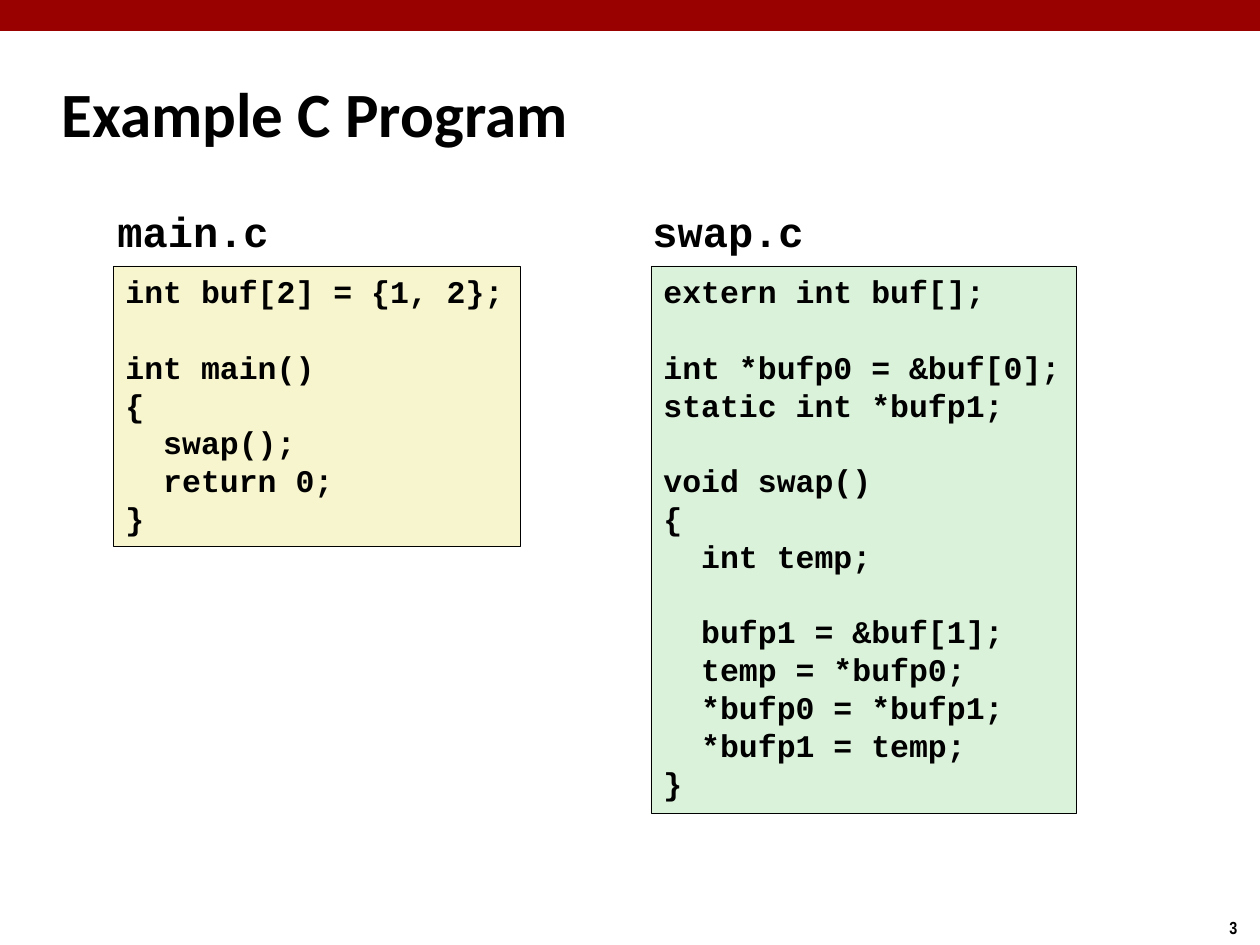
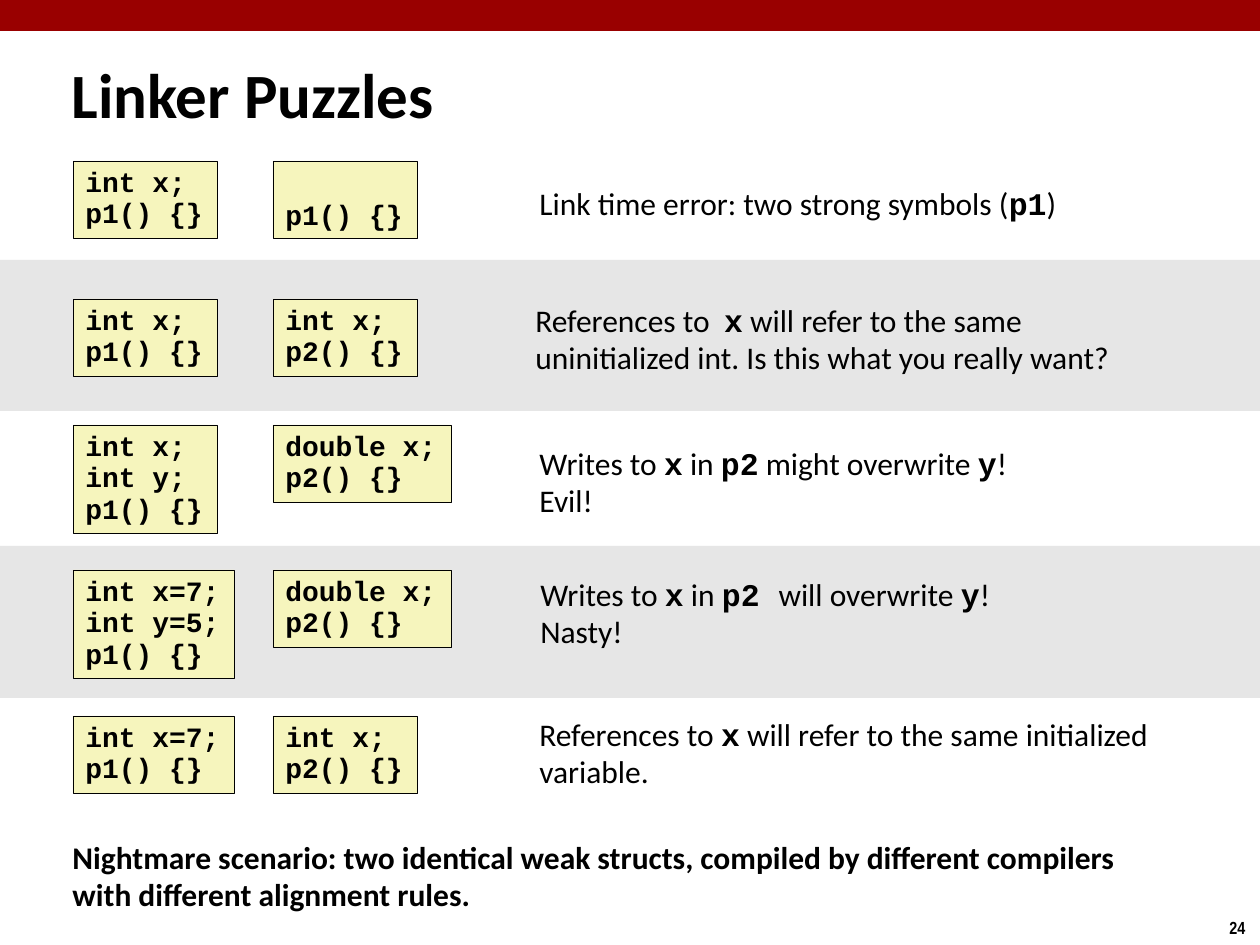
import pptx
import pptx.util
import pptx.dml.color
import pptx.enum.shapes
import pptx.enum.text

BLACK, WHITE, RED = "000000", "FFFFFF", "990000"
CREAM, GREEN, YELLOW, GREY = "F7F5CD", "DBF2DA", "F6F5BD", "E6E6E6"
SANS, MONO, NARROW = "Calibri", "Courier New", "Arial Narrow"
WIDE, HIGH = 1260, 945

FILES = [
    ("main.c", (105, 199, 180, 63), (113, 266, 407, 280), CREAM,
     ["int buf[2] = {1, 2};", "", "int main()", "{", "  swap();",
      "  return 0;", "}"]),
    ("swap.c", (640, 199, 178, 63), (651, 266, 425, 547), GREEN,
     ["extern int buf[];", "", "int *bufp0 = &buf[0];",
      "static int *bufp1;", "", "void swap()", "{", "  int temp;", "",
      "  bufp1 = &buf[1];", "  temp = *bufp0;", "  *bufp0 = *bufp1;",
      "  *bufp1 = temp;", "}"]),
]

BANDS = [(260, 151), (546, 152)]
LEFT, RIGHT = 73, 273
ROWS = [
    (161, ["int x;", "p1() {}"], ["", "p1() {}"], (527, 180, 558),
     ["Link time error: two strong symbols (`p1`)"]),
    (299, ["int x;", "p1() {}"], ["int x;", "p2() {}"], (523, 297, 606),
     ["References to  `x` will refer to the same",
      "uninitialized int. Is this what you really want?"]),
    (425, ["int x;", "int y;", "p1() {}"], ["double x;", "p2() {}"],
     (527, 440, 498),
     ["Writes to `x` in `p2` might overwrite `y`!", "Evil!"]),
    (570, ["int x=7;", "int y=5;", "p1() {}"], ["double x;", "p2() {}"],
     (528, 571, 479),
     ["Writes to `x` in `p2 `will overwrite `y`!", "Nasty!"]),
    (716, ["int x=7;", "p1() {}"], ["int x;", "p2() {}"], (527, 711, 641),
     ["References to `x` will refer to the same initialized", "variable."]),
]
MORAL = ["Nightmare scenario: two identical weak structs, compiled by "
         "different compilers", "with different alignment rules."]


def px(n):
    return pptx.util.Emu(round(n * 914400 / 126))


def paint(code):
    return pptx.dml.color.RGBColor.from_string(code)


def add_run(para, text, size, font, bold):
    run = para.add_run()
    run.text = text
    run.font.size = pptx.util.Pt(size)
    run.font.name = font
    run.font.bold = bold
    run.font.color.rgb = paint(BLACK)


def write(frame, lines, size, font, bold, space=None):
    frame.word_wrap = False
    gap, first = 0, True
    for line in lines:
        if not line:
            gap += size * 1.2
            continue
        para = frame.paragraphs[0] if first else frame.add_paragraph()
        if first and gap:
            frame.vertical_anchor = pptx.enum.text.MSO_ANCHOR.BOTTOM
        elif gap:
            para.space_before = pptx.util.Pt(gap)
        gap, first = 0, False
        para.alignment = pptx.enum.text.PP_ALIGN.LEFT
        if space:
            para.line_spacing = space
        for i, part in enumerate(line.split("`")):
            if part:
                code = i % 2 == 1
                add_run(para, part, size, MONO if code else font,
                        code or bold)


def add_rect(slide, at, fill=None, line=None):
    kind = pptx.enum.shapes.MSO_SHAPE.RECTANGLE
    rect = slide.shapes.add_shape(kind, *map(px, at))
    rect.shadow.inherit = False
    if fill:
        rect.fill.solid()
        rect.fill.fore_color.rgb = paint(fill)
    else:
        rect.fill.background()
    if line:
        rect.line.color.rgb = paint(line)
        rect.line.width = pptx.util.Pt(0.25)
    else:
        rect.line.fill.background()
    rect.text_frame.vertical_anchor = pptx.enum.text.MSO_ANCHOR.TOP
    return rect


def add_text(slide, at, lines, size, font, bold, space=None):
    box = slide.shapes.add_textbox(*map(px, at))
    write(box.text_frame, lines, size, font, bold, space)


def add_page(deck, title, at, number):
    slide = deck.slides.add_slide(deck.slide_layouts[5])
    head = slide.shapes.title
    head.left, head.top, head.width, head.height = map(px, at)
    frame = head.text_frame
    frame.auto_size = pptx.enum.text.MSO_AUTO_SIZE.NONE
    frame.vertical_anchor = pptx.enum.text.MSO_ANCHOR.MIDDLE
    write(frame, [title], 36, SANS, True)
    frame.word_wrap = True
    add_rect(slide, (0, 0, WIDE, 31), RED)
    add_text(slide, (1217, 911, 43, 34), [number], 10, NARROW, True)
    return slide


def add_code(slide, left, top, lines):
    wide = 25 + 17 * max(map(len, lines))
    high = 14 + round(31.4 * len(lines))
    rect = add_rect(slide, (left, top, wide, high), YELLOW, BLACK)
    write(rect.text_frame, lines, 16, MONO, True, 0.94)


def add_note(slide, left, top, wide, lines, bold=False):
    at = (left, top, wide, 12 + 38 * len(lines))
    add_text(slide, at, lines, 18, SANS, bold, 0.98)


def main():
    deck = pptx.Presentation()
    deck.slide_width, deck.slide_height = px(WIDE), px(HIGH)

    slide = add_page(deck, "Example C Program", (49, 60, 1046, 105), "3")
    for name, tag, at, fill, code in FILES:
        label = add_rect(slide, tag, None, WHITE)
        write(label.text_frame, [name], 24, MONO, True)
        rect = add_rect(slide, at, fill, BLACK)
        write(rect.text_frame, code, 18, MONO, True)

    slide = add_page(deck, "Linker Puzzles", (59, 39, 1201, 108), "24")
    for top, high in BANDS:
        add_rect(slide, (0, top, WIDE, high), GREY)
    for top, one, two, spot, note in ROWS:
        add_code(slide, LEFT, top, one)
        add_code(slide, RIGHT, top, two)
        add_note(slide, *spot, note)
    add_note(slide, 60, 834, 1076, MORAL, True)

    deck.save("out.pptx")


if __name__ == "__main__":
    main()
